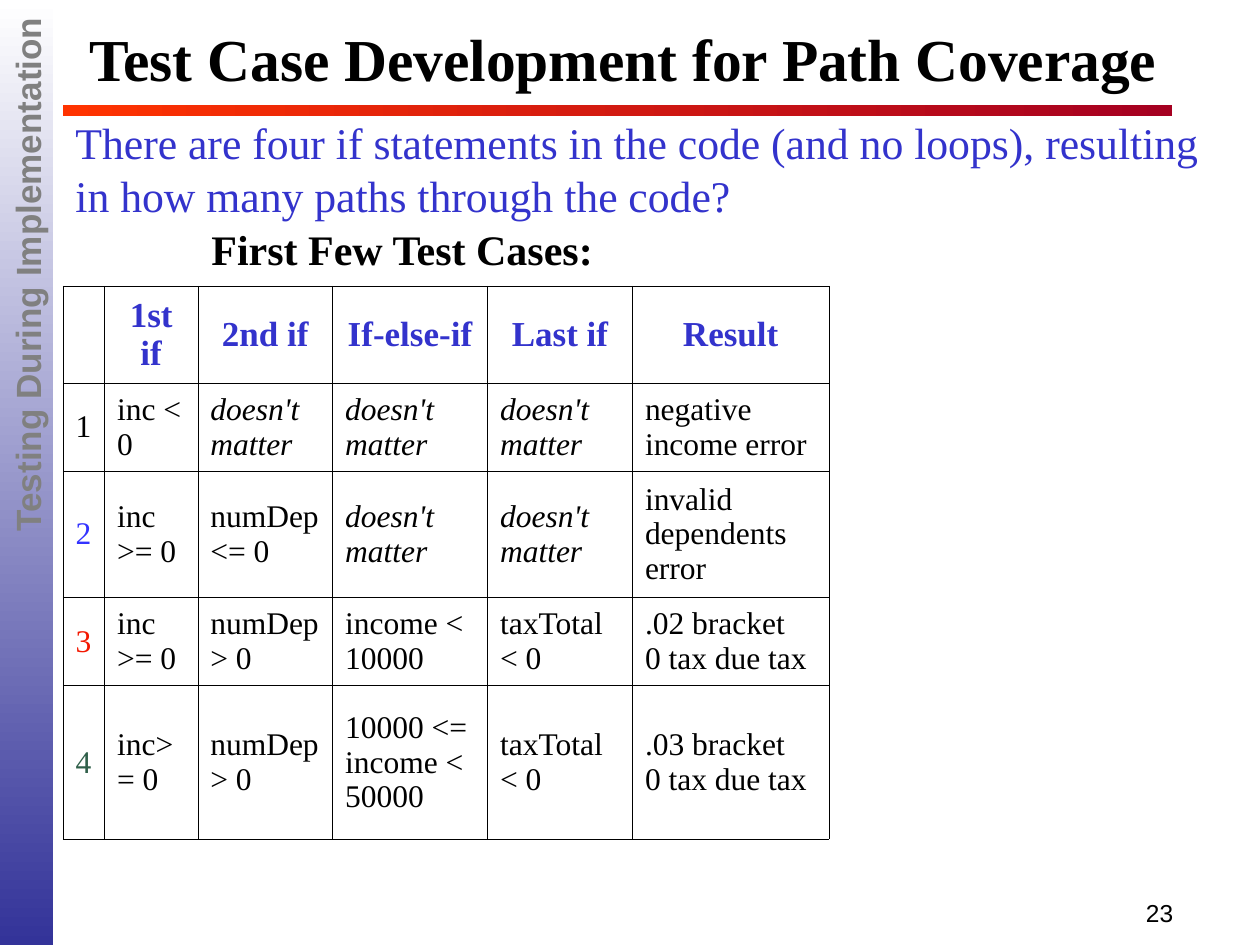
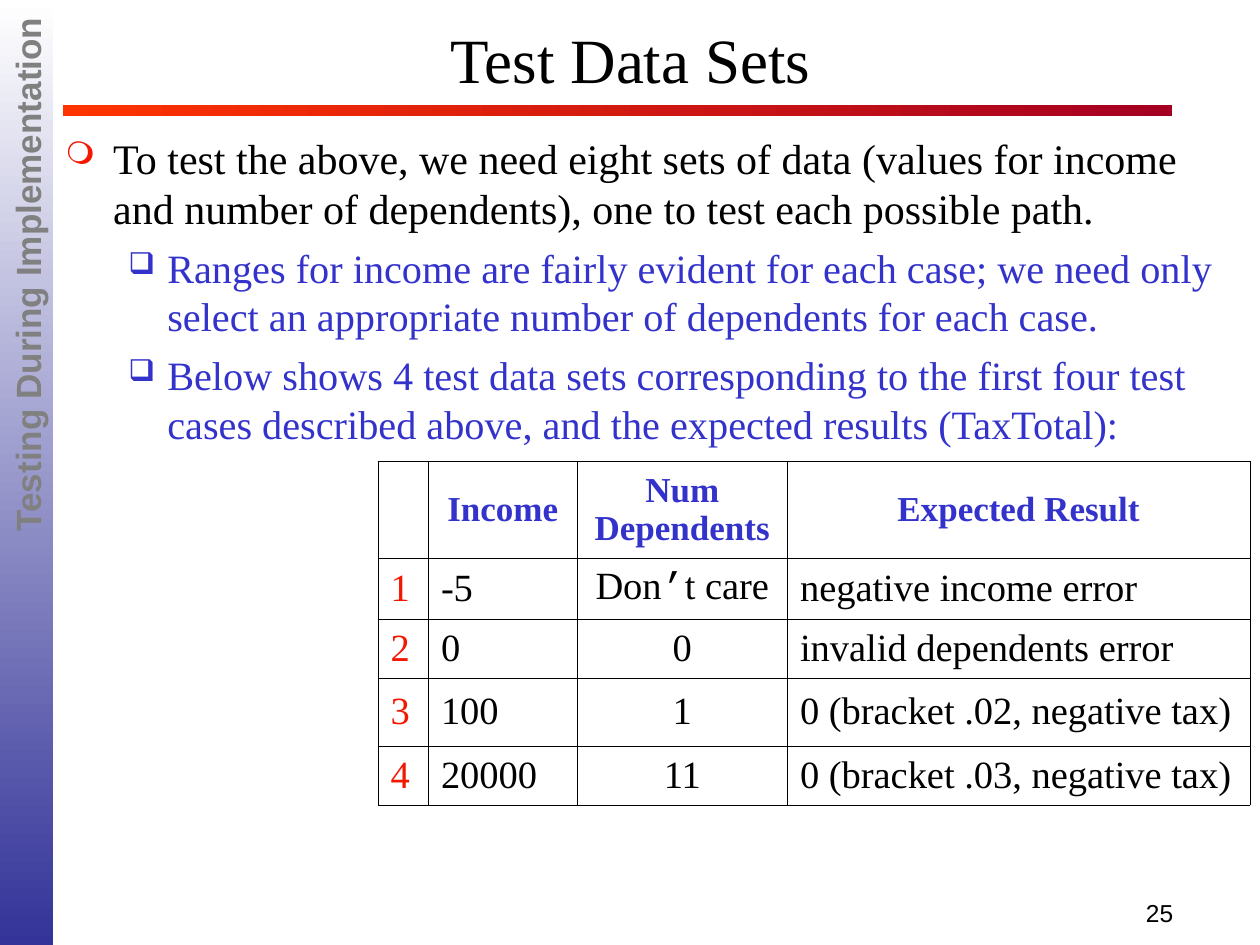
from dataclasses import dataclass, replace

from lxml.etree import SubElement
from pptx import Presentation
from pptx.dml.color import RGBColor
from pptx.enum.shapes import MSO_SHAPE
from pptx.enum.text import MSO_ANCHOR, MSO_AUTO_SIZE, PP_ALIGN
from pptx.oxml.ns import qn
from pptx.util import Inches, Pt

# Colours and fonts shared by the slides
BLACK = RGBColor(0x00, 0x00, 0x00)
WHITE = RGBColor(0xFF, 0xFF, 0xFF)
GREY = RGBColor(0x80, 0x80, 0x80)
INDIGO = RGBColor(0x33, 0x33, 0x99)
BLUE = RGBColor(0x33, 0x33, 0xCC)
BRIGHT_BLUE = RGBColor(0x33, 0x33, 0xFF)
RED = RGBColor(0xF3, 0x18, 0x01)
GREEN = RGBColor(0x30, 0x60, 0x4A)
RULE_START = RGBColor(0xFF, 0x33, 0x00)
RULE_END = RGBColor(0xA5, 0x00, 0x21)
SERIF = "Times New Roman"
SANS = "Arial"
MONO = "Courier New"
ANY = "doesn't matter"


@dataclass
class Style:
    size: float
    color: RGBColor = BLACK
    bold: bool = False
    italic: bool = False
    font: str = SERIF


def add_run(paragraph, text, style):
    run = paragraph.add_run()
    run.text = text
    run.font.name = style.font
    run.font.size = Pt(style.size)
    run.font.bold = style.bold
    run.font.italic = style.italic
    run.font.color.rgb = style.color


def add_text_box(slide, left, top, width, height):
    shape = slide.shapes.add_textbox(
        Inches(left), Inches(top), Inches(width), Inches(height))
    shape.text_frame.word_wrap = True
    return shape


def add_gradient_bar(slide, left, top, width, height, colors, angle):
    shape = slide.shapes.add_shape(
        MSO_SHAPE.RECTANGLE, Inches(left), Inches(top), Inches(width), Inches(height))
    shape.shadow.inherit = False
    shape.line.fill.background()
    shape.fill.gradient()
    shape.fill.gradient_angle = angle
    for stop, color in zip(shape.fill.gradient_stops, colors):
        stop.color.rgb = color


def add_slide(presentation, title, title_style, number):
    """Add a slide with its title, side band, red rule and page number."""
    slide = presentation.slides.add_slide(presentation.slide_layouts[5])

    # Side band with the chapter name running upwards
    add_gradient_bar(slide, 0, 0, 0.42, 7.5, (WHITE, INDIGO), 270)
    chapter = add_text_box(slide, -3.53, 3.53, 7.5, 0.44)
    chapter.rotation = 270
    chapter.text_frame.margin_right = Inches(0.14)
    paragraph = chapter.text_frame.paragraphs[0]
    paragraph.alignment = PP_ALIGN.RIGHT
    add_run(paragraph, "Testing During Implementation",
            Style(20, GREY, bold=True, font=SANS))

    # Rule under the title
    add_gradient_bar(slide, 0.5, 0.83, 8.8, 0.09, (RULE_START, RULE_END), 0)

    # Page number
    page = add_text_box(slide, 8.33, 7.08, 1.08, 0.25)
    paragraph = page.text_frame.paragraphs[0]
    paragraph.alignment = PP_ALIGN.RIGHT
    add_run(paragraph, str(number), Style(14, font=SANS))

    # Title
    shape = slide.shapes.title
    shape.left, shape.top = Inches(0.42), Inches(0.17)
    shape.width, shape.height = Inches(9.17), Inches(0.58)
    frame = shape.text_frame
    frame.auto_size = MSO_AUTO_SIZE.NONE
    frame.vertical_anchor = MSO_ANCHOR.MIDDLE
    paragraph = frame.paragraphs[0]
    paragraph.alignment = PP_ALIGN.CENTER
    add_run(paragraph, title, title_style)
    return slide


def set_borders(cell):
    properties = cell._tc.get_or_add_tcPr()
    for index, side in enumerate(("lnL", "lnR", "lnT", "lnB")):
        line = SubElement(properties, qn(f"a:{side}"), w=str(Pt(0.11)))
        fill = SubElement(line, qn("a:solidFill"))
        SubElement(fill, qn("a:srgbClr"), val=str(BLACK))
        properties.insert(index, line)


def fill_cell(cell, text, style, alignment):
    cell.fill.background()
    set_borders(cell)
    cell.vertical_anchor = MSO_ANCHOR.MIDDLE
    paragraph = cell.text_frame.paragraphs[0]
    paragraph.alignment = alignment
    for line_index, line in enumerate(text.split("\n")):
        if line_index:
            paragraph.add_line_break()
        before, apostrophe, after = line.partition("’")
        for part in (before, apostrophe, after):
            if part:
                font = MONO if part == "’" else style.font
                add_run(paragraph, part, replace(style, font=font))


def add_grid(slide, left, top, widths, heights, rows, size, number_colors, centred=()):
    """Add a table with a blue header row and a coloured number column."""
    table = slide.shapes.add_table(
        len(heights), len(widths), Inches(left), Inches(top),
        Inches(sum(widths)), Inches(sum(heights))).table
    table.first_row = table.horz_banding = False
    for column, width in zip(table.columns, widths):
        column.width = Inches(width)
    for row, height in zip(table.rows, heights):
        row.height = Inches(height)
    for row_index, texts in enumerate(rows):
        for column_index, text in enumerate(texts):
            style = Style(size, italic=text == ANY)
            if row_index == 0:
                style = Style(20, BLUE, bold=True)
            elif column_index == 0:
                style.color = number_colors[row_index - 1]
            middle = row_index == 0 or column_index in centred
            fill_cell(table.cell(row_index, column_index), text, style,
                      PP_ALIGN.CENTER if middle else PP_ALIGN.LEFT)


def add_bullet(paragraph, text, style, symbol, color, margin, hanging):
    properties = paragraph._p.get_or_add_pPr()
    properties.set("marL", str(Inches(margin)))
    properties.set("indent", str(-Inches(hanging)))
    bullet_color = SubElement(properties, qn("a:buClr"))
    SubElement(bullet_color, qn("a:srgbClr"), val=str(color))
    SubElement(properties, qn("a:buSzPct"), val="75000")
    SubElement(properties, qn("a:buChar"), char=symbol)
    add_run(paragraph, text, style)


def add_path_coverage_slide(presentation):
    slide = add_slide(presentation, "Test Case Development for Path Coverage ",
                      Style(34, bold=True), 23)

    # Test case table
    rows = [
        ("", "1st if", "2nd if", "If-else-if", "Last if", "Result"),
        ("1", "inc < 0", ANY, ANY, ANY, "negative income error"),
        ("2", "inc >= 0", "numDep <= 0", ANY, ANY, "invalid dependents error"),
        ("3", "inc >= 0", "numDep > 0", "income < 10000", "taxTotal < 0",
         ".02 bracket\n0 tax due tax"),
        ("4", "inc>= 0", "numDep > 0", "10000 <= income < 50000", "taxTotal < 0",
         ".03 bracket\n0 tax due tax"),
    ]
    add_grid(slide, 0.5, 2.27, (0.33, 0.74, 1.07, 1.23, 1.15, 1.56),
             (0.77, 0.7, 1, 0.7, 1.22), rows, 18,
             (BLACK, BRIGHT_BLUE, RED, GREEN))

    # Question and table heading
    frame = add_text_box(slide, 0.5, 0.87, 9.25, 1.35).text_frame
    add_run(frame.paragraphs[0],
            "There are four if statements in the code (and no loops), "
            "resulting in how many paths through the code?", Style(25, BLUE))
    heading = frame.add_paragraph()
    heading.space_before = Pt(1.5)
    heading._p.get_or_add_pPr().set("indent", str(Inches(1.08)))
    add_run(heading, "First Few Test Cases:", Style(24, bold=True))


def add_data_sets_slide(presentation):
    slide = add_slide(presentation, "Test Data Sets", Style(36), 25)

    # Test data table
    rows = [
        ("", "Income", "Num Dependents", "Expected Result"),
        ("1", "-5", "Don’t care", "negative income error"),
        ("2", "0", "0", "invalid dependents error"),
        ("3", "100", "1", "0 (bracket .02, negative tax)"),
        ("4", "20000", "11", "0 (bracket .03, negative tax)"),
    ]
    add_grid(slide, 3, 3.66, (0.4, 1.18, 1.67, 3.67),
             (0.77, 0.48, 0.47, 0.54, 0.47), rows, 22, (RED,) * 4, centred=(2,))

    # Bullets
    frame = add_text_box(slide, 0.42, 1, 9.33, 2.67).text_frame
    add_bullet(frame.paragraphs[0],
               "To test the above, we need eight sets of data (values for income "
               "and number of dependents), one to test each possible path.",
               Style(24), "❍", RED, 0.38, 0.38)
    for text in (
        "Ranges for income are fairly evident for each case; we need only "
        "select an appropriate number of dependents for each case.",
        "Below shows 4 test data sets corresponding to the first four test "
        "cases described above, and the expected results (TaxTotal):",
    ):
        paragraph = frame.add_paragraph()
        paragraph.level = 1
        paragraph.space_before = Pt(6)
        add_bullet(paragraph, text, Style(23, BLUE), "❑", BLUE, 0.81, 0.31)


def main():
    presentation = Presentation()
    presentation.slide_width = Inches(10)
    presentation.slide_height = Inches(7.5)
    add_path_coverage_slide(presentation)
    add_data_sets_slide(presentation)
    presentation.save("out.pptx")


if __name__ == "__main__":
    main()
